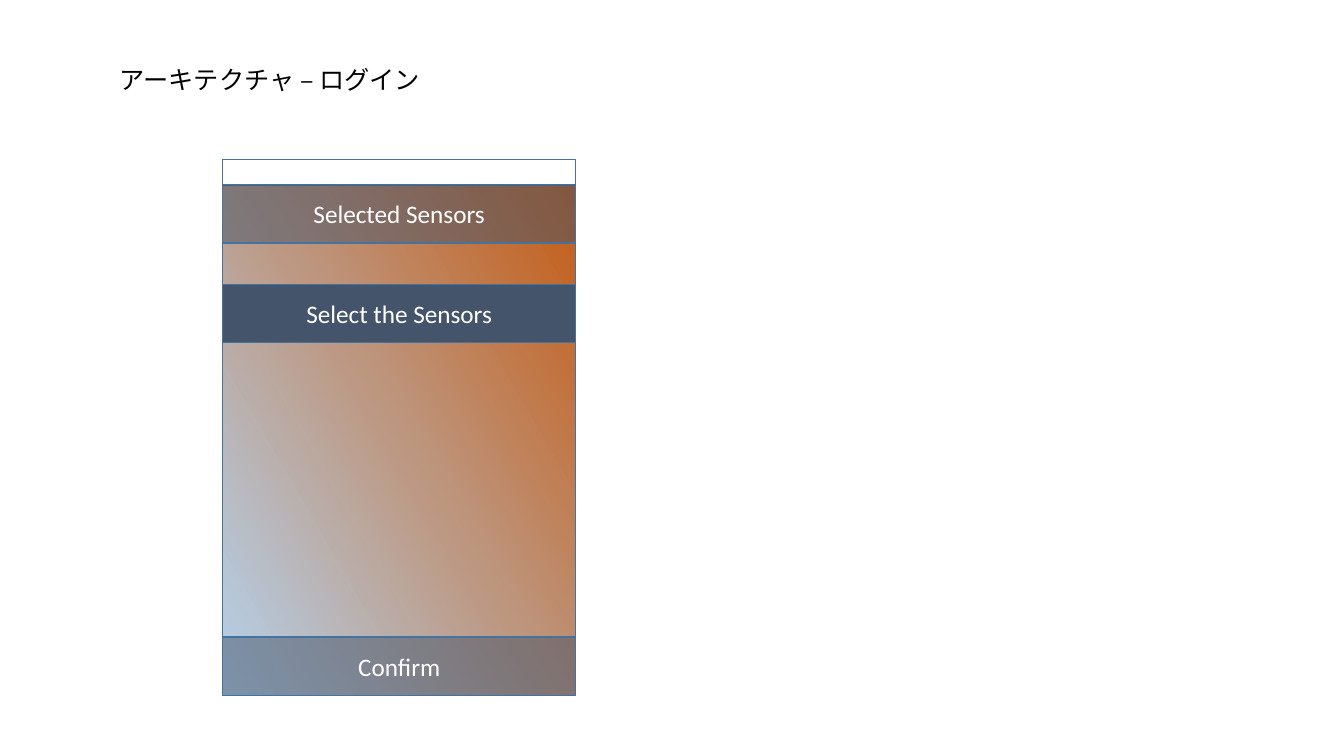
from copy import deepcopy

from lxml import etree
from pptx import Presentation
from pptx.dml.color import RGBColor
from pptx.enum.shapes import MSO_SHAPE
from pptx.enum.text import MSO_ANCHOR, MSO_AUTO_SIZE, PP_ALIGN
from pptx.oxml.ns import qn
from pptx.util import Inches, Pt

RECTANGLE = MSO_SHAPE.RECTANGLE
MIDDLE = MSO_ANCHOR.MIDDLE
FIT_SHAPE = MSO_AUTO_SIZE.SHAPE_TO_FIT_TEXT
LEFT, CENTER = PP_ALIGN.LEFT, PP_ALIGN.CENTER

FONT = "Calibri"
BLACK, WHITE = "000000", "FFFFFF"
OUTLINE, SLATE = "43739E", "44546A"
SCREEN_STOPS = [(0, "C55A11"), (0.5, "BD967F"), (1, "B5D2EC")]
SCREEN_LEFT, SCREEN_TOP = 2.21, 1.58
SCREEN_WIDTH, SCREEN_HEIGHT = 3.5, 5.32
STATUS_HEIGHT, BAR_HEIGHT = 0.26, 0.58
BARS = [
    ("Selected Sensors", 1.83, 50),
    ("Select the Sensors", 2.82, 100),
    ("Confirm", SCREEN_TOP + SCREEN_HEIGHT - BAR_HEIGHT, 50),
]


def color(hex_code):
    return RGBColor.from_string(hex_code)


def write(frame, text, size=18, ink=BLACK, align=LEFT):
    paragraph = frame.paragraphs[0]
    paragraph.alignment = align
    run = paragraph.add_run()
    run.text = text
    run.font.name = FONT
    run.font.size = Pt(size)
    run.font.color.rgb = color(ink)


def add_title(slide, text):
    title = slide.shapes.add_textbox(
        Inches(1.09), Inches(0.59), Inches(3.22), Inches(0.4))
    title.text_frame.word_wrap = False
    title.text_frame.auto_size = FIT_SHAPE
    write(title.text_frame, text)


def add_panel(slide, top, height, fill=WHITE, opacity=100):
    panel = slide.shapes.add_shape(
        RECTANGLE, Inches(SCREEN_LEFT), Inches(top),
        Inches(SCREEN_WIDTH), Inches(height))
    panel.shadow.inherit = False
    panel.fill.solid()
    panel.fill.fore_color.rgb = color(fill)
    if opacity < 100:
        tint = panel.fill._xPr.find(qn("a:solidFill"))[0]
        etree.SubElement(tint, qn("a:alpha"), val=str(opacity * 1000))
    panel.line.color.rgb = color(OUTLINE)
    panel.line.width = Pt(1)
    return panel


def apply_gradient(panel, stops, angle):
    panel.fill.gradient()
    panel.fill.gradient_angle = angle
    stop_list = panel.fill._xPr.find(".//" + qn("a:gsLst"))
    while len(stop_list) < len(stops):
        stop_list.append(deepcopy(stop_list[0]))
    for stop, (position, hex_code) in zip(panel.fill.gradient_stops, stops):
        stop.position = position
        stop.color.rgb = color(hex_code)


def add_bar(slide, label, top, opacity):
    bar = add_panel(slide, top, BAR_HEIGHT, SLATE, opacity)
    bar.text_frame.vertical_anchor = MIDDLE
    bar.text_frame.word_wrap = True
    write(bar.text_frame, label, ink=WHITE, align=CENTER)


def main():
    deck = Presentation()
    deck.slide_width, deck.slide_height = Inches(13.33), Inches(7.5)
    slide = deck.slides.add_slide(deck.slide_layouts[6])

    add_title(slide, "アーキテクチャ – ログイン")
    screen = add_panel(slide, SCREEN_TOP, SCREEN_HEIGHT)
    apply_gradient(screen, SCREEN_STOPS, angle=210)
    add_panel(slide, SCREEN_TOP, STATUS_HEIGHT)
    for label, top, opacity in BARS:
        add_bar(slide, label, top, opacity)

    deck.save("out.pptx")


main()
